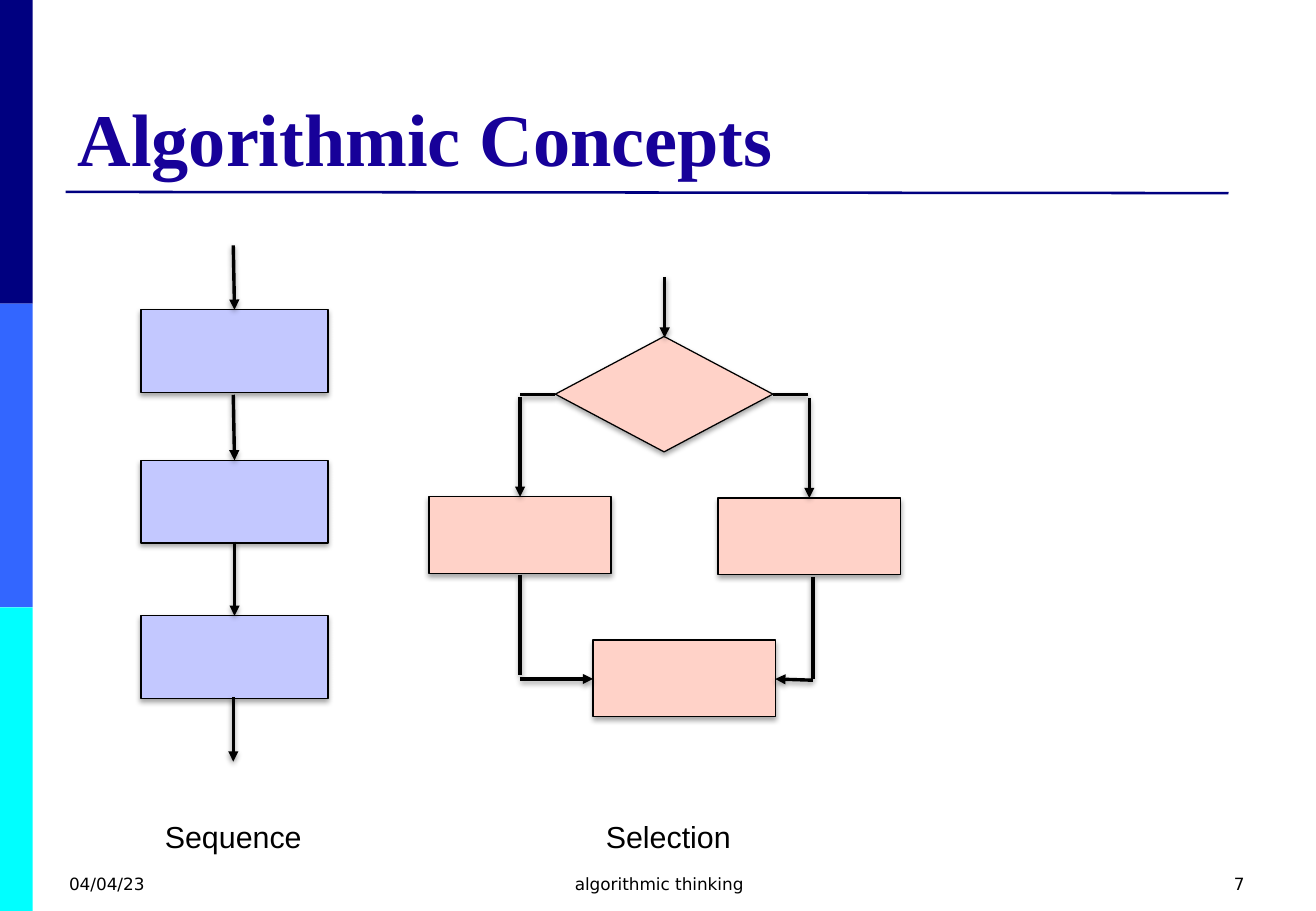
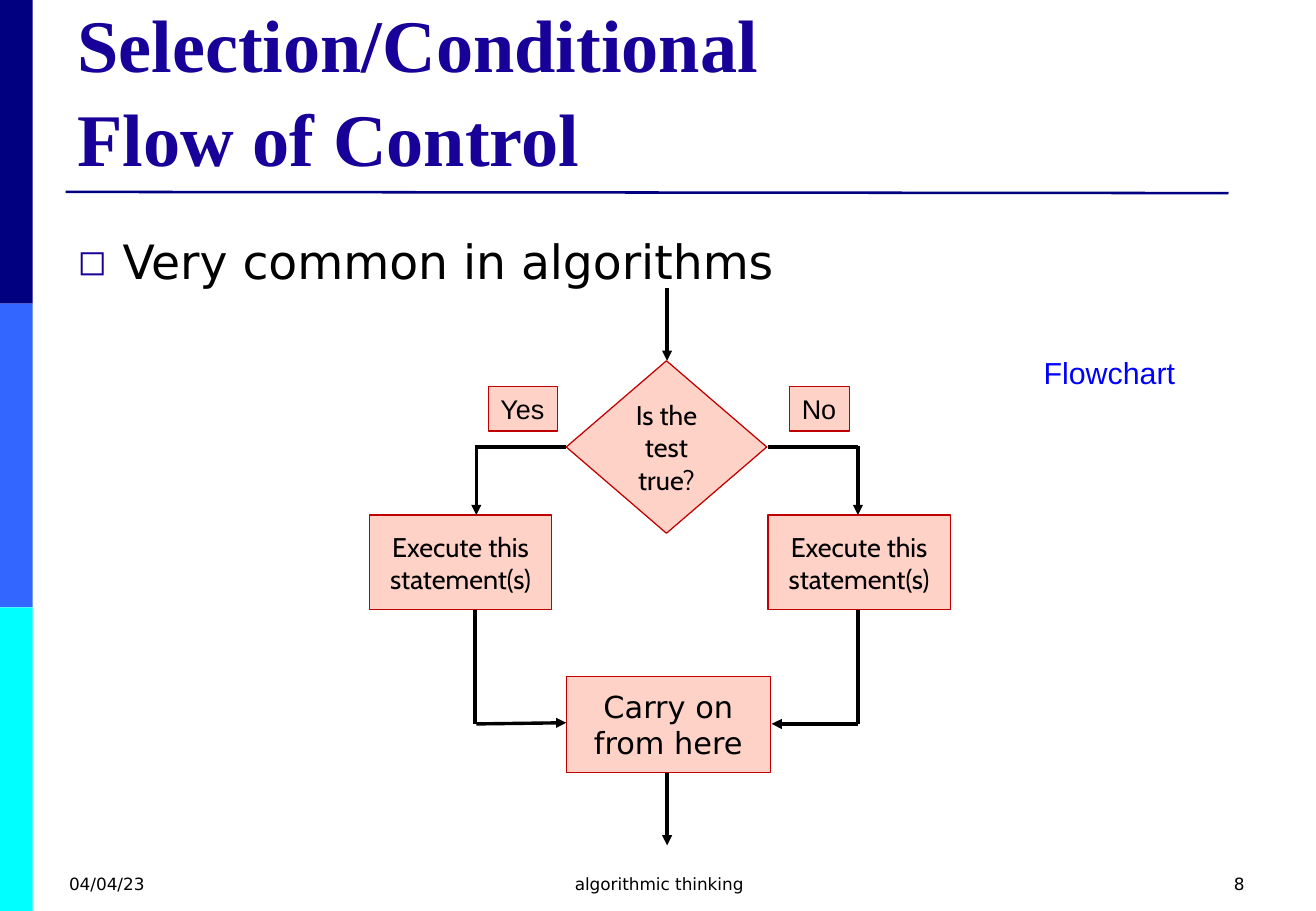
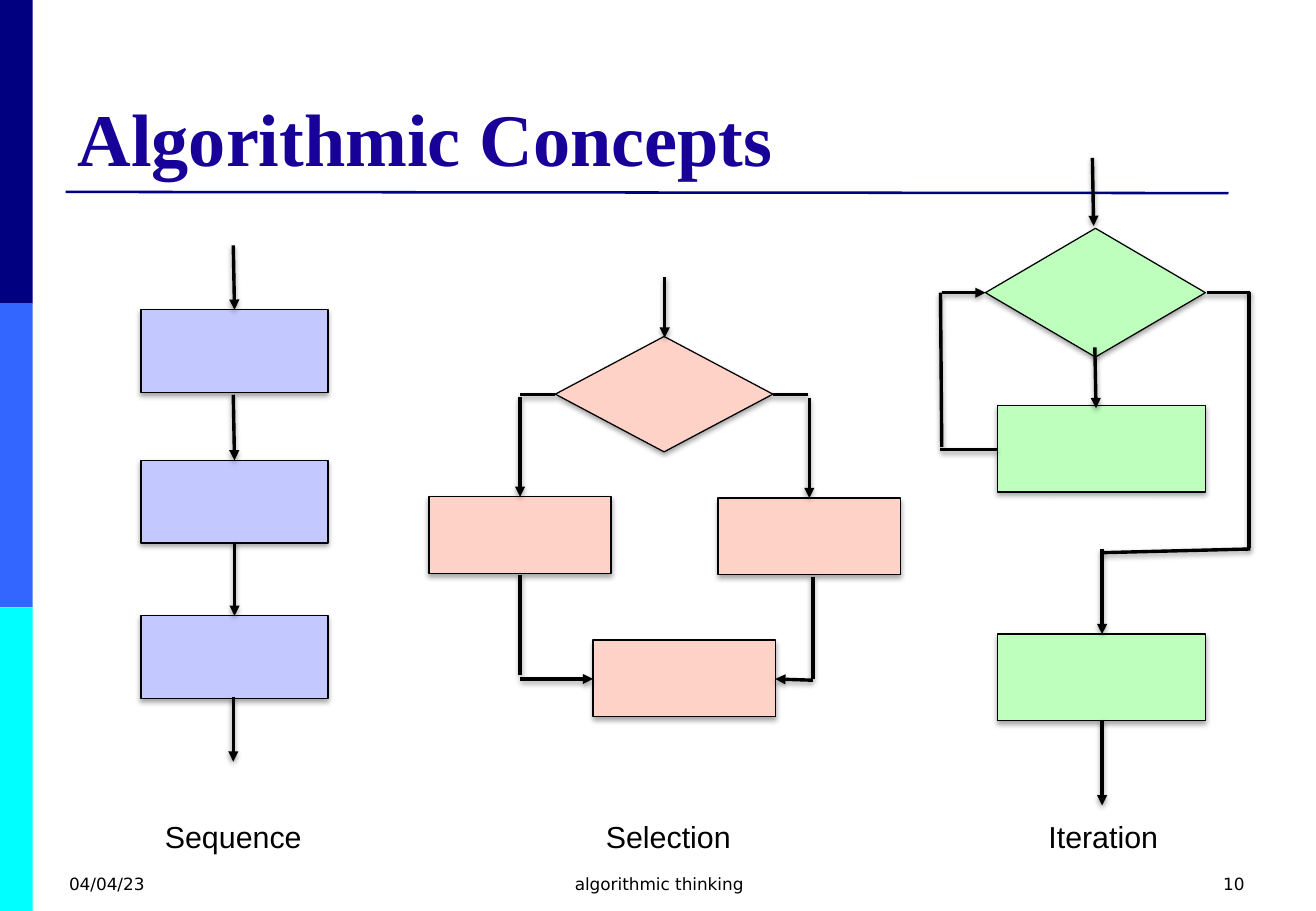
from dataclasses import dataclass, field

from lxml import etree
from pptx import Presentation
from pptx import util as u
from pptx.dml.color import RGBColor
from pptx.enum import shapes, text
from pptx.oxml.ns import qn

PX = 9144  # 100 px to the inch
BOX = shapes.MSO_SHAPE.RECTANGLE
STEP = shapes.MSO_SHAPE.FLOWCHART_PROCESS
TEST = shapes.MSO_SHAPE.FLOWCHART_DECISION
LEFT, MID, RIGHT = text.PP_ALIGN.LEFT, text.PP_ALIGN.CENTER, text.PP_ALIGN.RIGHT


@dataclass(frozen=True)
class Theme:
    navy: str = "000080"
    ink: str = "170199"
    black: str = "000000"
    blue: str = "0000FF"
    red: str = "C00000"
    lilac: str = "C3C8FF"
    pink: str = "FFD2C8"
    green: str = "BEFFBE"
    bands: tuple = ("000080", "3366FF", "00FFFF")
    rule: float = 1.5
    edge: float = 0.75
    wire: float = 2
    type: dict = field(default_factory=lambda: {
        "title": dict(name="Times New Roman", size=u.Pt(44), bold=True),
        "body": dict(name="DejaVu Sans", size=u.Pt(28)),
        "foot": dict(name="DejaVu Sans", size=u.Pt(10)),
        "label": dict(name="Arial", size=u.Pt(18)),
        "tag": dict(name="Arial", size=u.Pt(16)),
        "step": dict(name="Cabin", size=u.Pt(16)),
        "end": dict(name="DejaVu Sans", size=u.Pt(18)),
    })


def rgb(code):
    return RGBColor.from_string(code)


def px(*nums):
    return [n * PX for n in nums]


def put(item, vals):
    for key, val in vals.items():
        setattr(item, key, val)


def sub(top, tag, **vals):
    return etree.SubElement(top, qn(tag), {k: str(v) for k, v in vals.items()})


def shade(fx, dist, alpha):
    """Add a soft black shadow, cast straight down, to an effect list."""
    cast = sub(fx, "a:outerShdw", blurRad=40000, dist=dist, dir=5400000, rotWithShape=0)
    sub(sub(cast, "a:srgbClr", val="000000"), "a:alpha", val=alpha * 1000)


class Deck:
    def __init__(self, look):
        self.look = look
        self.prs = Presentation()
        put(self.prs, dict(slide_width=1083 * PX, slide_height=750 * PX))

    def page(self, title, num):
        """Start a slide with its bands, title, rule and footer."""
        look = self.look
        self.slide = self.prs.slides.add_slide(self.prs.slide_layouts[6])
        self.top = self.slide.shapes
        for row, tint in enumerate(look.bands):
            self.shape(BOX, (0, row * 250, 27, 250), tint)
        self.line((54, 158, 1011, 159), look.navy, look.rule)
        self.text((54, 30, 975, 124), title, "title", look.ink,
                  anchor=text.MSO_ANCHOR.BOTTOM, space=1.05)
        for x, wide, words, side in ((47, 253, "04/04/23", LEFT),
                                     (371, 343, "algorithmic thinking", MID),
                                     (781, 253, num, RIGHT)):
            self.text((x, 714, wide, 36), words, "foot", side=side)

    def fill(self, frame, words, kind, tint=None, side=LEFT, wrap=True,
             anchor=text.MSO_ANCHOR.TOP, space=None, mark=False):
        """Write one styled paragraph into a text frame."""
        put(frame, dict(word_wrap=wrap, vertical_anchor=anchor))
        par = frame.paragraphs[0]
        par.text = words
        put(par, dict(alignment=side, line_spacing=space))
        if mark:
            self.mark(par)
        for run in par.runs:
            put(run.font, self.look.type[kind])
            run.font.color.rgb = rgb(tint or self.look.black)

    def mark(self, par):
        """Give a paragraph the small open square bullet."""
        ppr = par._p.get_or_add_pPr()
        ppr.set("marL", str(37 * PX))
        ppr.set("indent", str(-37 * PX))
        sub(sub(ppr, "a:buClr"), "a:srgbClr", val=self.look.ink)
        sub(ppr, "a:buSzPct", val=75000)
        sub(ppr, "a:buFont", typeface="DejaVu Sans")
        sub(ppr, "a:buChar", char="◻")

    def text(self, at, words, kind, tint=None, **opts):
        self.fill(self.top.add_textbox(*px(*at)).text_frame, words, kind, tint, **opts)

    def shape(self, kind, at, tint, edge=None, soft=False):
        item = self.top.add_shape(kind, *px(*at))
        item.shadow.inherit = False
        item.fill.solid()
        item.fill.fore_color.rgb = rgb(tint)
        if edge:
            item.line.color.rgb = rgb(edge)
            item.line.width = u.Pt(self.look.edge)
        else:
            item.line.fill.background()
        if soft:
            shade(item._element.spPr.find(qn("a:effectLst")), 23000, 35)
        return item

    def node(self, kind, at, words, face="step", side=MID, wrap=True):
        """Draw a red-edged flowchart shape with text."""
        item = self.shape(kind, at, self.look.pink, self.look.red)
        self.fill(item.text_frame, words, face, side=side, wrap=wrap,
                  anchor=text.MSO_ANCHOR.MIDDLE)

    def line(self, ends, tint=None, wide=None, head=False, soft=False):
        item = self.top.add_connector(shapes.MSO_CONNECTOR.STRAIGHT, *px(*ends))
        item.line.color.rgb = rgb(tint or self.look.black)
        item.line.width = u.Pt(wide or self.look.wire)
        if head:
            sub(item.line._get_or_add_ln(), "a:tailEnd", type="triangle")
        fx = sub(item._element.spPr, "a:effectLst")
        if soft:
            shade(fx, 20000, 38)

    def lines(self, wires, heads, soft=False):
        for ends in wires:
            self.line(ends, soft=soft)
        for ends in heads:
            self.line(ends, head=True, soft=soft)

    def flow(self, col, name, tint, nodes, wires, heads):
        """Draw a grouped, shadowed flowchart and its caption."""
        self.text((70 + 358 * col, 669, 244, 40), name, "label", side=MID)
        self.top = self.slide.shapes.add_group_shape().shapes
        for kind, at in nodes:
            self.shape(kind, at, tint, self.look.black, soft=True)
        self.lines(wires, heads, soft=True)
        self.top = self.slide.shapes


def series(deck):
    deck.flow(0, "Sequence", deck.look.lilac,
              [(BOX, (116, y, 154, 68)) for y in (255, 379, 507)],
              [],
              [(192, 202, 193, 255), (192, 325, 193, 379),
               (193, 446, 193, 507), (192, 574, 192, 627)])


def choice(deck):
    deck.flow(1, "Selection", deck.look.pink,
              [(TEST, (457, 277, 179, 95))]
              + [(BOX, (x, y, 150, 63)) for x, y in ((353, 409), (591, 410), (488, 527))],
              [(457, 325, 428, 325), (665, 325, 636, 325),
               (428, 473, 428, 556), (669, 475, 669, 559)],
              [(547, 228, 547, 278), (428, 327, 428, 409), (666, 328, 666, 410),
               (428, 559, 488, 559), (669, 560, 638, 559)])


def loop(deck):
    deck.flow(2, "Iteration", deck.look.green,
              [(TEST, (811, 188, 181, 106))]
              + [(BOX, (821, y, 171, 71)) for y in (334, 522)],
              [(1028, 240, 1028, 451), (821, 370, 774, 370), (774, 241, 775, 368),
               (993, 241, 1029, 241), (1029, 452, 907, 455)],
              [(899, 130, 900, 186), (775, 241, 811, 241), (907, 452, 907, 522),
               (907, 593, 907, 663), (901, 286, 902, 336)])


def detail(deck):
    """Draw the labelled flowchart of a condition."""
    deck.text((54, 175, 975, 60), "Very common in algorithms", "body",
              space=1.25, mark=True)
    deck.node(TEST, (466, 297, 165, 142), "Is the test true?")
    for x in (304, 632):
        deck.node(STEP, (x, 424, 150, 78), "Execute this statement(s)")
    deck.node(BOX, (466, 557, 168, 79), "Carry on from here", "end")
    for x, wide, words in ((402, 57, "Yes"), (650, 49, "No")):
        deck.node(BOX, (x, 318, wide, 37), words, "tag", LEFT, False)
    deck.lines([(632, 368, 706, 368), (391, 368, 466, 368),
                (391, 502, 391, 596), (706, 502, 706, 596)],
               [(706, 367, 706, 424), (392, 367, 392, 424),
                (392, 596, 466, 595), (706, 596, 635, 596),
                (549, 237, 549, 297), (549, 636, 549, 696)])
    deck.text((849, 287, 130, 40), "Flowchart", "label", deck.look.blue, wrap=False)


def main():
    deck = Deck(Theme())
    pages = (("Algorithmic Concepts", "7", (choice, series)),
             ("Selection/Conditional\vFlow of Control", "8", (detail,)),
             ("Algorithmic Concepts", "10", (choice, loop, series)))
    for title, num, parts in pages:
        deck.page(title, num)
        for part in parts:
            part(deck)
    deck.prs.save("out.pptx")


if __name__ == "__main__":
    main()
